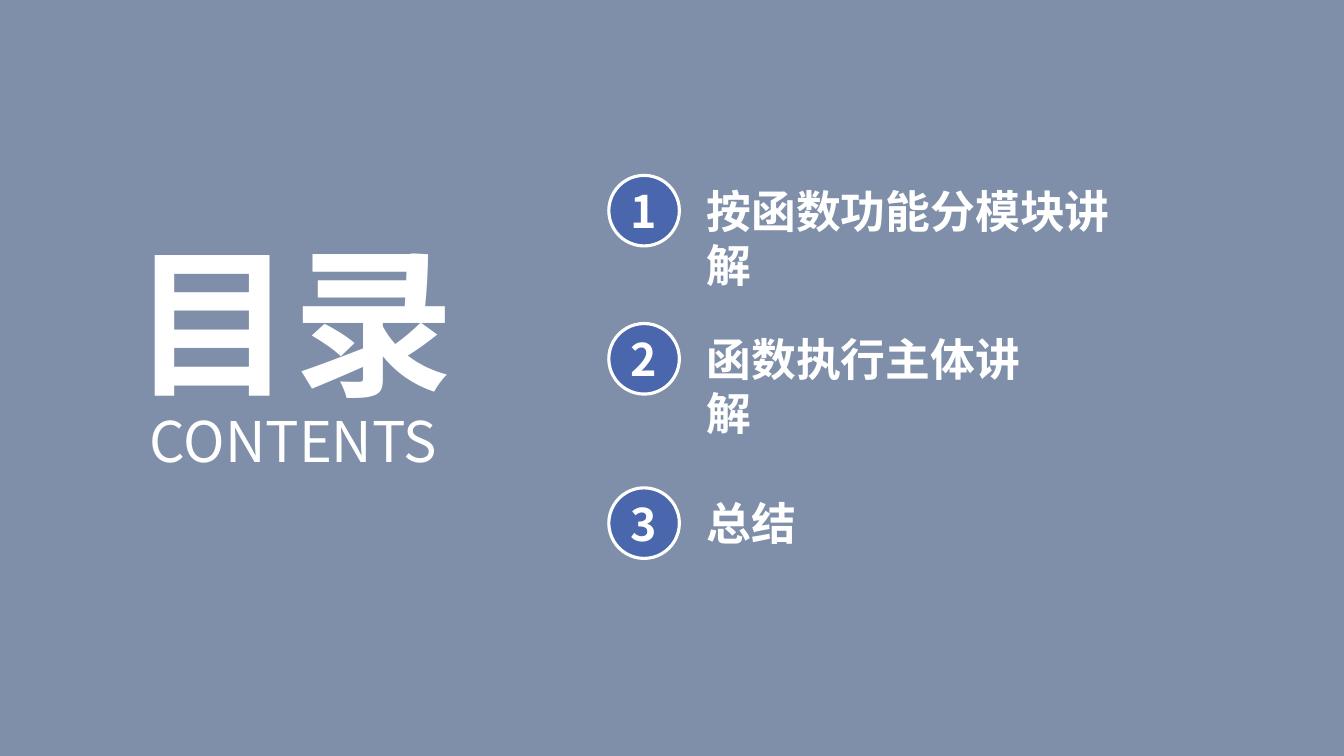
from pptx import Presentation
from pptx.dml.color import RGBColor as RGB
from pptx.enum.shapes import MSO_SHAPE as Shape
from pptx.enum.text import MSO_ANCHOR as Anchor, PP_ALIGN as Align
from pptx.oxml.ns import qn
from pptx.util import Pt
from lxml.etree import SubElement as Sub

hues = {"back": "7F8FA9", "disc": "4A66AC", "text": "FFFFFF"}
sans, quick = "Noto Sans CJK SC", "Quicksand"
heads = [
    ("CONTENTS", (95, 286.5, 229, 55.5), 40, False),
    ("目录", (85.5, 155.5, 248, 147), 115, True),
]
items = [
    ("按函数功能分模块讲解", 125.3, 334),
    ("函数执行主体讲解", 231.1, 270),
    ("总结", 348.5, 80),
]
left, size, gap, drop = 434.9, 50.4, 12.2, 2.2


def tint(fill, hue):
    fill.solid()
    fill.fore_color.rgb = RGB.from_string(hues[hue])


def write(shape, text, face, points, bold, align):
    frame = shape.text_frame
    frame.word_wrap = True
    line = frame.paragraphs[0]
    line.alignment = align
    run = line.add_run()
    run.text = text
    for key, value in {"name": face, "size": Pt(points), "bold": bold}.items():
        setattr(run.font, key, value)
    tint(run.font.fill, "text")
    Sub(run.font._element, qn("a:ea")).set("typeface", face)


def label(box, *style):
    write(slide.shapes.add_textbox(*map(Pt, box)), *style)


def badge(num, top):
    disc = slide.shapes.add_shape(
        Shape.OVAL, *map(Pt, (left, top, size, size)))
    disc.shadow.inherit = False
    tint(disc.fill, "disc")
    tint(disc.line.fill, "text")
    disc.line.width = Pt(2.25)
    disc.text_frame.vertical_anchor = Anchor.MIDDLE
    write(disc, str(num), sans, 32, True, Align.CENTER)


deck = Presentation()
deck.slide_width, deck.slide_height = Pt(960), Pt(540)
slide = deck.slides.add_slide(deck.slide_layouts[6])
tint(slide.background.fill, "back")

for text, box, points, bold in heads:
    label(box, text, sans, points, bold, Align.CENTER)
for num, (text, top, wide) in enumerate(items, 1):
    badge(num, top)
    box = (left + size + gap, top + drop, wide, 46)
    label(box, text, quick, 32, True, Align.LEFT)

deck.save("out.pptx")
